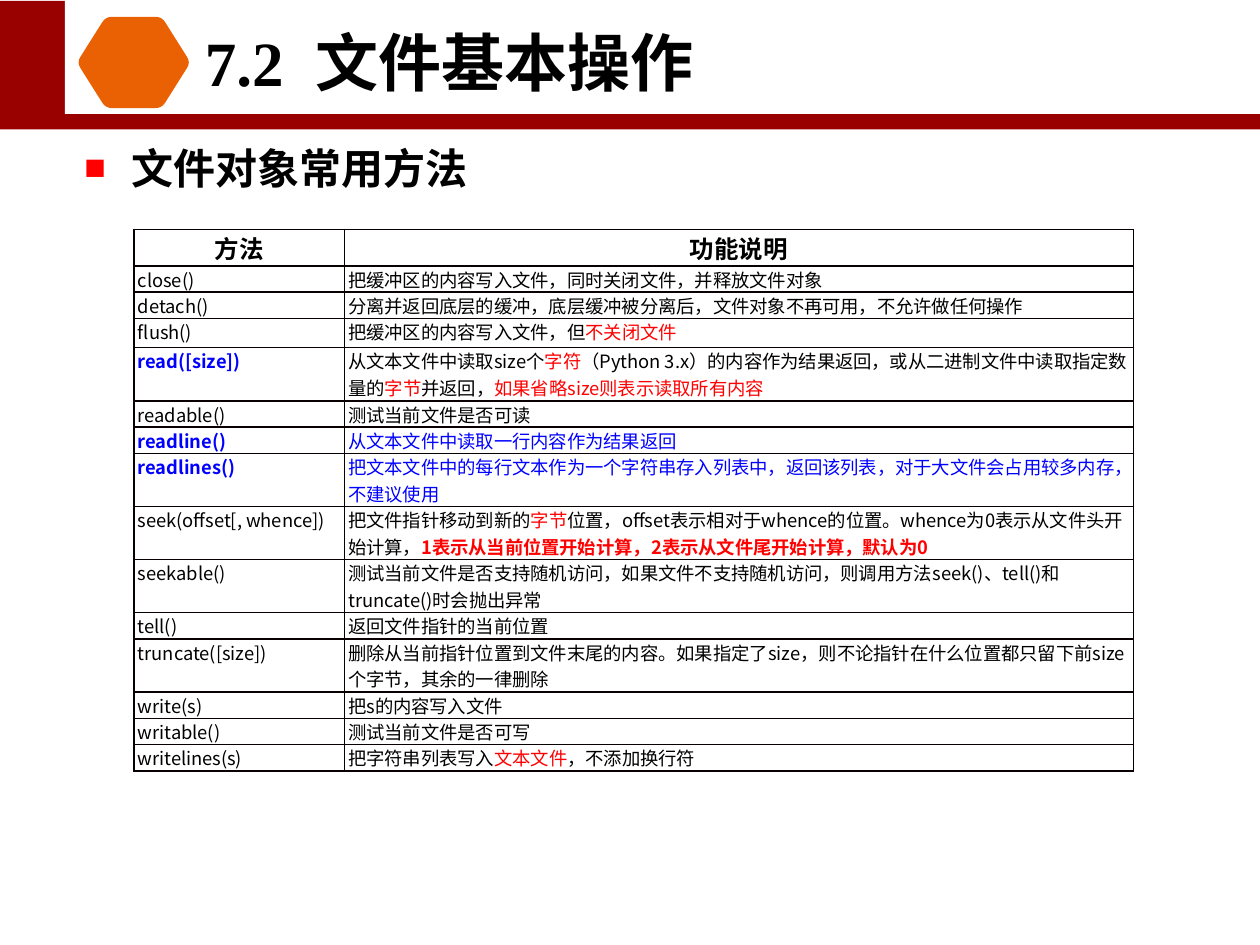
from dataclasses import dataclass
from math import hypot
from typing import NamedTuple

from lxml import etree
from pptx import Presentation
from pptx.dml.color import RGBColor
from pptx.enum.shapes import MSO_SHAPE
from pptx.enum.text import MSO_ANCHOR, PP_ALIGN
from pptx.oxml.ns import qn
from pptx.util import Cm, Pt

RECT = MSO_SHAPE.RECTANGLE
TOP, MID = MSO_ANCHOR.TOP, MSO_ANCHOR.MIDDLE
LEFT, MIDDLE = PP_ALIGN.LEFT, PP_ALIGN.CENTER
SANS, SERIF = "Noto Sans CJK SC", "Times New Roman"
BLACK, WHITE, RED, BLUE = "000000", "FFFFFF", "FF0000", "0000FF"
MAROON, ORANGE, EDGE = "990000", "EA6103", "080000"
ONE, TWO = 0.53, 1.07  # heights of rows with one and two lines, in cm


class Bit(NamedTuple):
    text: str
    tint: str = BLACK
    bold: bool = False


@dataclass
class Row:
    name: Bit
    note: list[Bit]
    tall: float = ONE
    size: float = 10.5
    align: PP_ALIGN = LEFT
    pad: float = 0.08


ROWS = [
    Row(Bit("方法", bold=True), [Bit("功能说明", bold=True)],
        0.73, size=14, align=MIDDLE, pad=0),
    Row(Bit("close()"), [Bit("把缓冲区的内容写入文件，同时关闭文件，并释放文件对象")]),
    Row(Bit("detach()"),
        [Bit("分离并返回底层的缓冲，底层缓冲被分离后，文件对象不再可用，不允许做任何操作")]),
    Row(Bit("flush()"), [Bit("把缓冲区的内容写入文件，但"), Bit("不关闭文件", RED)], 0.59),
    Row(Bit("read([size])", BLUE, True),
        [Bit("从文本文件中读取size个"), Bit("字符", RED),
         Bit("（Python 3.x）的内容作为结果返回，或从二进制文件中读取指定数量的"),
         Bit("字节", RED), Bit("并返回，"),
         Bit("如果省略size则表示读取所有内容", RED)], TWO),
    Row(Bit("readable()"), [Bit("测试当前文件是否可读")]),
    Row(Bit("readline()", BLUE, True),
        [Bit("从文本文件中读取一行内容作为结果返回", BLUE)]),
    Row(Bit("readlines()", BLUE, True),
        [Bit("把文本文件中的每行文本作为一个字符串存入列表中，返回该列表，"
             "对于大文件会占用较多内存，不建议使用", BLUE)], TWO),
    Row(Bit("seek(offset[, whence])"),
        [Bit("把文件指针移动到新的"), Bit("字节", RED),
         Bit("位置，offset表示相对于whence的位置。whence为0表示从文件头开始计算，"),
         Bit("1表示从当前位置开始计算，2表示从文件尾开始计算，默认为0", RED, True)], TWO),
    Row(Bit("seekable()"),
        [Bit("测试当前文件是否支持随机访问，如果文件不支持随机访问，"
             "则调用方法seek()、tell()和truncate()时会抛出异常")], TWO),
    Row(Bit("tell()"), [Bit("返回文件指针的当前位置")]),
    Row(Bit("truncate([size])"),
        [Bit("删除从当前指针位置到文件末尾的内容。如果指定了size，"
             "则不论指针在什么位置都只留下前size个字节，其余的一律删除")], TWO),
    Row(Bit("write(s)"), [Bit("把s的内容写入文件")]),
    Row(Bit("writable()"), [Bit("测试当前文件是否可写")]),
    Row(Bit("writelines(s)"),
        [Bit("把字符串列表写入"), Bit("文本文件", RED), Bit("，不添加换行符")]),
]


def color(code: str) -> RGBColor:
    return RGBColor.from_string(code)


def paint(shape, tint: str) -> None:
    shape.fill.solid()
    shape.fill.fore_color.rgb = color(tint)
    shape.line.fill.background()
    shape.shadow.inherit = False


def write(para, bits: list[Bit], size: float, face: str) -> None:
    for bit in bits:
        run = para.add_run()
        run.text = bit.text
        font = run.font
        font.size, font.bold, font.name = Pt(size), bit.bold, face
        font.color.rgb = color(bit.tint)
        east = etree.SubElement(run._r.get_or_add_rPr(), qn("a:ea"))
        east.set("typeface", SANS)


def band(slide, box: tuple, tint: str) -> None:
    paint(slide.shapes.add_shape(RECT, *map(Cm, box)), tint)


def badge(slide, tips: list[tuple], cut: float, tint: str) -> None:
    """Draw a polygon whose corners are rounded over the length cut."""
    dots = []
    for i, (x, y) in enumerate(tips):
        ends = []
        for u, v in (tips[i - 1], tips[(i + 1) % len(tips)]):
            part = cut / hypot(u - x, v - y)
            ends.append((x + (u - x) * part, y + (v - y) * part))
        (ax, ay), (bx, by) = ends
        for t in (0, 0.25, 0.5, 0.75, 1):
            p, q, r = (1 - t) ** 2, 2 * t * (1 - t), t * t
            dots.append((Cm(p * ax + q * x + r * bx), Cm(p * ay + q * y + r * by)))
    pen = slide.shapes.build_freeform(*dots[0])
    pen.add_line_segments(dots[1:])
    paint(pen.convert_to_shape(), tint)


def border(cell, last: bool) -> None:
    props = cell._tc.get_or_add_tcPr()
    for i, side in enumerate(("lnL", "lnR", "lnT", "lnB")):
        outer = last and side == "lnR"
        line = etree.Element(qn(f"a:{side}"), w=str(Pt(0.75 if outer else 1)))
        fill = etree.SubElement(line, qn("a:solidFill"))
        etree.SubElement(fill, qn("a:srgbClr"), val=BLACK if outer else EDGE)
        props.insert(i, line)


def grid(slide, spot: tuple, wide: tuple, rows: list[Row]) -> None:
    box = (*spot, sum(wide), sum(row.tall for row in rows))
    table = slide.shapes.add_table(len(rows), len(wide), *map(Cm, box)).table
    table.first_row = table.horz_banding = False
    for col, width in zip(table.columns, wide):
        col.width = Cm(width)
    for i, row in enumerate(rows):
        table.rows[i].height = Cm(row.tall)
        for j, bits in enumerate(([row.name], row.note)):
            cell = table.cell(i, j)
            cell.margin_left = Cm(row.pad)
            cell.margin_right = cell.margin_top = cell.margin_bottom = 0
            cell.vertical_anchor = TOP
            cell.fill.background()
            border(cell, j == len(wide) - 1)
            para = cell.text_frame.paragraphs[0]
            para.alignment = row.align
            write(para, bits, row.size, SANS)


def topic(slide, box: tuple, text: str) -> None:
    frame = slide.shapes.add_textbox(*map(Cm, box)).text_frame
    frame.word_wrap = True
    frame.margin_left = frame.margin_right = Cm(0.2)
    frame.margin_top = frame.margin_bottom = Cm(0.1)
    para = frame.paragraphs[0]
    props = para._p.get_or_add_pPr()
    props.set("marL", str(Cm(0.95)))
    props.set("indent", str(Cm(-0.95)))
    tint = etree.SubElement(props, qn("a:buClr"))
    etree.SubElement(tint, qn("a:srgbClr"), val=RED)
    etree.SubElement(props, qn("a:buSzPct"), val="85000")
    etree.SubElement(props, qn("a:buFont"), typeface=SERIF)
    etree.SubElement(props, qn("a:buChar"), char="■")
    write(para, [Bit(text, bold=True)], 24, SERIF)


def head(slide, box: tuple, words: list[str]) -> None:
    title = slide.shapes.title
    title.left, title.top, title.width, title.height = map(Cm, box)
    frame = title.text_frame
    frame.word_wrap, frame.vertical_anchor = True, MID
    para = frame.paragraphs[0]
    para.alignment = MIDDLE
    write(para, [Bit(word, bold=True) for word in words], 36, SERIF)
    # Widen the gap after the number
    para.runs[1]._r.get_or_add_rPr().set("spc", "900")
    # Bring the title in front of the bands
    slide.shapes._spTree.append(title._element)


def main() -> None:
    deck = Presentation()
    deck.slide_width, deck.slide_height = Cm(25.4), Cm(19.05)
    slide = deck.slides.add_slide(deck.slide_layouts[5])

    # Header bands
    band(slide, (0, 0.02, 25.4, 2.59), MAROON)
    band(slide, (1.31, 0, 24.09, 2.3), WHITE)

    # Topic and method table
    topic(slide, (1.5, 2.78, 22.86, 13), "文件对象常用方法")
    grid(slide, (2.7, 4.63), (4.24, 15.91), ROWS)

    # Badge and title
    tips = [(1.55, 1.26), (2.13, 0.34), (3.26, 0.34),
            (3.84, 1.26), (3.26, 2.18), (2.13, 2.18)]
    badge(slide, tips, 0.13, ORANGE)
    head(slide, (0.4, 0.33, 17.3, 1.8), ["7.2", " ", "文件基本操作"])
    deck.save("out.pptx")


if __name__ == "__main__":
    main()
